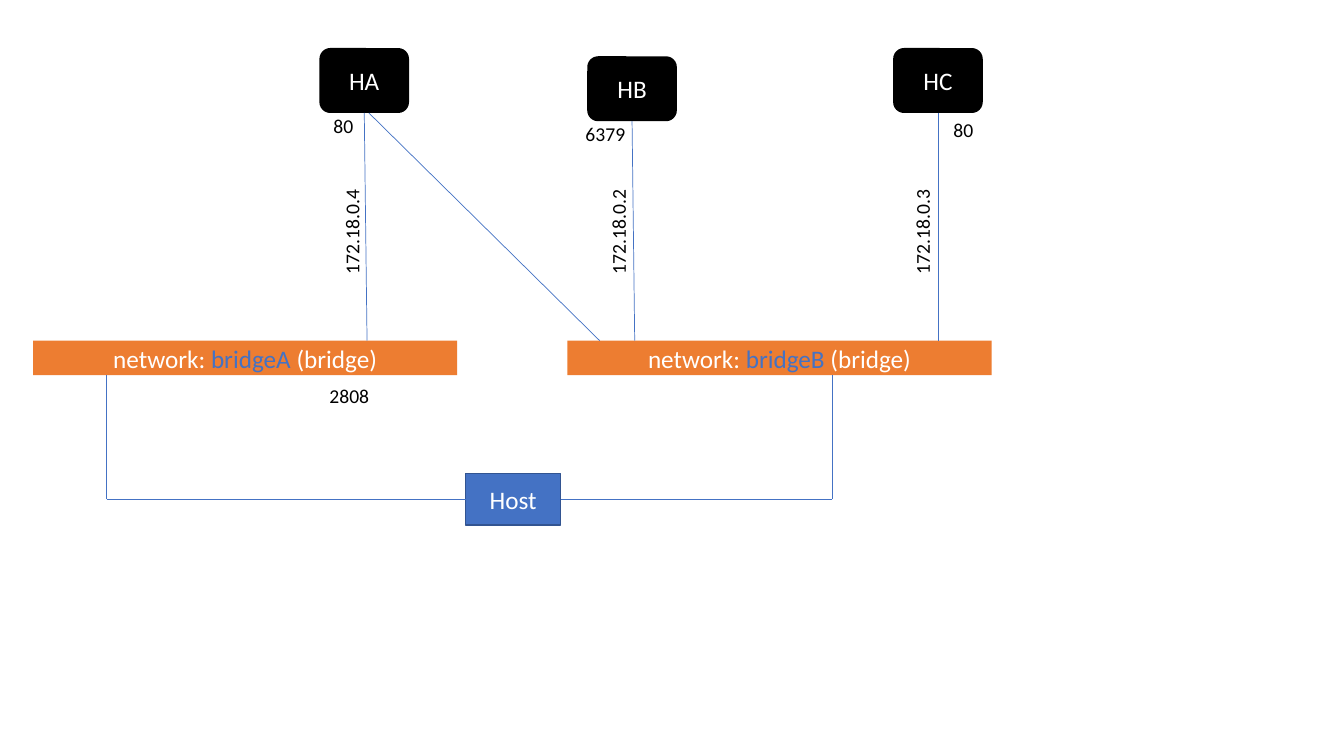
from pptx import Presentation
from pptx.dml.color import RGBColor
from pptx.enum.shapes import MSO_CONNECTOR, MSO_SHAPE
from pptx.enum.text import MSO_ANCHOR, PP_ALIGN
from pptx.util import Pt
from lxml import etree

RECT, ROUNDED = MSO_SHAPE.RECTANGLE, MSO_SHAPE.ROUNDED_RECTANGLE
STRAIGHT = MSO_CONNECTOR.STRAIGHT
MIDDLE, CENTER = MSO_ANCHOR.MIDDLE, PP_ALIGN.CENTER
A = "http://schemas.openxmlformats.org/drawingml/2006/main"
FONT = "Calibri"
BLUE, ORANGE, BLACK, WHITE = "4472C4", "ED7D31", "000000", "FFFFFF"
BRIDGE_TOP, BRIDGE_BOTTOM, HOST_Y = 243.4, 268, 356.4


def paint(color_format, color):
    """Set a colour from a hex string."""
    color_format.rgb = RGBColor.from_string(color)


def style(p, size, color):
    """Set the font of a paragraph."""
    p.font.name, p.font.size = FONT, Pt(size)
    paint(p.font.color, color)


def add_box(s, kind, left, top, width, height, fill, parts, line=None):
    """Add a filled shape with centred text given as (text, colour) parts."""
    sp = s.shapes.add_shape(kind, Pt(left), Pt(top), Pt(width), Pt(height))
    sp.shadow.inherit = False
    sp.fill.solid()
    paint(sp.fill.fore_color, fill)
    if line:
        paint(sp.line.color, line)
        sp.line.width = Pt(1)
    else:
        sp.line.fill.background()
    tf = sp.text_frame
    tf.vertical_anchor = MIDDLE
    p = tf.paragraphs[0]
    p.alignment = CENTER
    style(p, 18, WHITE)
    for text, color in parts:
        r = p.add_run()
        r.text = text
        paint(r.font.color, color)


def add_label(s, left, top, width, text, rotation=0):
    """Add a small black label."""
    sp = s.shapes.add_textbox(Pt(left), Pt(top), Pt(width), Pt(24.2))
    sp.rotation = rotation
    tf = sp.text_frame
    tf.word_wrap = True
    p = tf.paragraphs[0]
    p.text = text
    style(p, 14, BLACK)


def add_link(s, x1, y1, x2, y2):
    """Add a thin blue line."""
    cx = s.shapes.add_connector(STRAIGHT, Pt(x1), Pt(y1), Pt(x2), Pt(y2))
    paint(cx.line.color, BLUE)
    cx.line.width = Pt(0.5)
    etree.SubElement(cx._element.spPr, f"{{{A}}}effectLst")


def add_bridge(s, left, name):
    """Add a network bar with its name in blue."""
    parts = [("network: ", WHITE), (name, BLUE), (" (bridge)", WHITE)]
    add_box(s, RECT, left, BRIDGE_TOP, 303, BRIDGE_BOTTOM - BRIDGE_TOP, ORANGE, parts)


def add_container(s, name, left, top, foot_x, address, address_left):
    """Add a container box, its link to the bridge and its address."""
    add_box(s, ROUNDED, left, top, 64, 46.4, BLACK, [(name, WHITE)])
    add_link(s, left + 32, top + 46.4, foot_x, BRIDGE_TOP)
    add_label(s, address_left, 100.8, 180, address, 270)


def main():
    """Build the slide."""
    prs = Presentation()
    prs.slide_width, prs.slide_height = Pt(960), Pt(540)
    s = prs.slides.add_slide(prs.slide_layouts[6])

    for left, name in [(23.6, "bridgeA"), (405.3, "bridgeB")]:
        add_bridge(s, left, name)

    for container in [
        ("HA", 228.2, 34.3, 262.2, "172.18.0.4", 161.3),
        ("HB", 419.5, 40.2, 453.4, "172.18.0.2", 351.6),
        ("HC", 638, 34.3, 670, "172.18.0.3", 568.8),
    ]:
        add_container(s, *container)
    add_link(s, 263.5, 80.7, 428.4, BRIDGE_TOP)

    for left, top, port in [
        (231.1, 77.8, "80"),
        (411.1, 83.8, "6379"),
        (673.9, 80.9, "80"),
        (228.2, 270.7, "2808"),
    ]:
        add_label(s, left, top, 46, port)

    add_box(s, RECT, 332.6, 338.2, 67.9, 36.7, BLUE, [("Host", WHITE)], "325491")
    for bridge_x, host_x in [(76.2, 332.6), (594.6, 400.5)]:
        add_link(s, bridge_x, BRIDGE_BOTTOM, bridge_x, HOST_Y)
        add_link(s, bridge_x, HOST_Y, host_x, HOST_Y)

    prs.save("out.pptx")


main()
